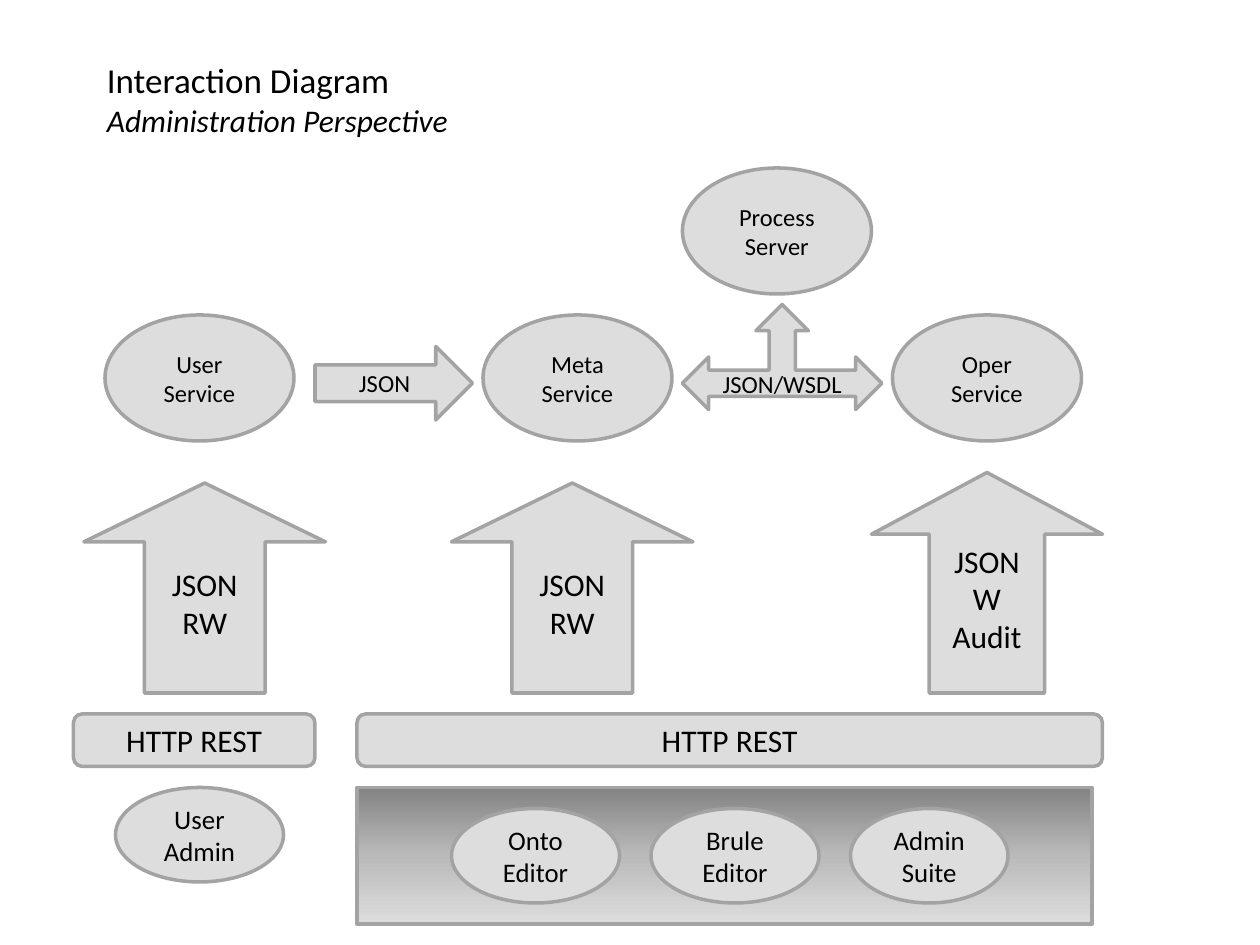
"""Build the administration interaction diagram slide."""
from copy import deepcopy

from pptx import Presentation
from pptx import util as u
from pptx.dml.color import RGBColor
from pptx.enum import shapes, text
from pptx.oxml.ns import qn

PX = 9525
FONT = "Calibri"
BLACK = RGBColor(0x00, 0x00, 0x00)
LIGHT = RGBColor(0xDD, 0xDD, 0xDD)
MEDIUM = RGBColor(0xBA, 0xBA, 0xBA)
DARK = RGBColor(0x83, 0x83, 0x83)
EDGE = RGBColor(0xA3, 0xA3, 0xA3)
KIND = shapes.MSO_SHAPE


def write_lines(frame, lines, size, alignment):
    """Write one paragraph per line in the common font."""
    frame.word_wrap = True
    frame.text = "\n".join(lines)
    for paragraph in frame.paragraphs:
        paragraph.alignment = alignment
        paragraph.font.name = FONT
        paragraph.font.size = u.Pt(size)
        paragraph.font.color.rgb = BLACK


def add_block(slide, origin, kind, box, lines=(), size=18):
    """Add an outlined grey shape at a box relative to its region's origin."""
    left, top, width, height = box
    shape = slide.shapes.add_shape(
        kind, (origin[0] + left) * PX, (origin[1] + top) * PX, width * PX, height * PX)
    shape.shadow.inherit = False
    shape.fill.solid()
    shape.fill.fore_color.rgb = LIGHT
    shape.line.color.rgb = EDGE
    shape.line.width = u.Pt(2)
    if lines:
        shape.text_frame.vertical_anchor = text.MSO_ANCHOR.MIDDLE
        write_lines(shape.text_frame, lines, size, text.PP_ALIGN.CENTER)
    return shape


def shade_downwards(shape, colors):
    """Fill a shape from top to bottom with evenly spaced colours."""
    shape.fill.gradient()
    shape.fill.gradient_angle = 270
    stop_list = shape._element.spPr.find(qn("a:gradFill")).find(qn("a:gsLst"))
    while len(stop_list) < len(colors):
        stop_list.append(deepcopy(stop_list[0]))
    for index, (stop, color) in enumerate(zip(shape.fill.gradient_stops, colors)):
        stop.position = index / (len(colors) - 1)
        stop.color.rgb = color


def add_heading(slide, box):
    """Add the title and its italic subtitle."""
    frame = slide.shapes.add_textbox(*(length * PX for length in box)).text_frame
    write_lines(frame, ["Interaction Diagram", "Administration Perspective"], 20,
                text.PP_ALIGN.LEFT)
    subtitle = frame.paragraphs[1]
    subtitle.font.size = u.Pt(18)
    subtitle.font.italic = True


def add_services(slide, origin):
    """Add the service ellipses and the arrows between them."""
    services = [(0, 112, ["User Service"]), (288, 112, ["Meta Service"]),
                (440, 0, ["Process", "Server"]), (600, 112, ["Oper Service"])]
    for left, top, lines in services:
        add_block(slide, origin, KIND.OVAL, (left, top, 144, 96), lines, 14)
    add_block(slide, origin, KIND.RIGHT_ARROW, (160, 136, 120, 56), ["JSON"], 14)
    add_block(slide, origin, KIND.LEFT_RIGHT_UP_ARROW, (440, 104, 152, 80),
              ["JSON/WSDL"], 14)


def add_calls(slide, origin):
    """Add the upward arrows that carry calls to the services."""
    calls = [((0, 8, 184, 160), ["JSON", "RW"]),
             ((280, 8, 184, 160), ["JSON", "RW"]),
             ((600, 0, 176, 168), ["JSON", "W", "Audit"])]
    for box, lines in calls:
        arrow = add_block(slide, origin, KIND.UP_ARROW, box, lines)
        arrow.adjustments[0] = 0.5
        arrow.adjustments[1] = 0.28


def add_interfaces(slide, origin):
    """Add the REST interface bars."""
    for left, width in [(0, 184), (216, 568)]:
        add_block(slide, origin, KIND.ROUNDED_RECTANGLE, (left, 0, width, 40),
                  ["HTTP REST"])


def add_clients(slide, origin):
    """Add the client ellipses and the shaded panel behind the editors."""
    panel = add_block(slide, origin, KIND.RECTANGLE, (184, 0, 560, 104))
    shade_downwards(panel, [DARK, MEDIUM, LIGHT])
    clients = [(0, 0, 128, "User Admin"), (256, 16, 128, "Onto Editor"),
               (408, 16, 128, "Brule Editor"), (560, 16, 120, "Admin Suite")]
    for left, top, width, name in clients:
        add_block(slide, origin, KIND.OVAL, (left, top, width, 72), [name], 15.3)


def main():
    """Compose the slide and save it."""
    presentation = Presentation()
    presentation.slide_width = 960 * PX
    presentation.slide_height = 720 * PX
    slide = presentation.slides.add_slide(presentation.slide_layouts[6])
    add_clients(slide, (88, 600))
    add_heading(slide, (72, 40, 432, 71))
    add_services(slide, (80, 128))
    add_calls(slide, (64, 360))
    add_interfaces(slide, (56, 544))
    presentation.save("out.pptx")


if __name__ == "__main__":
    main()
